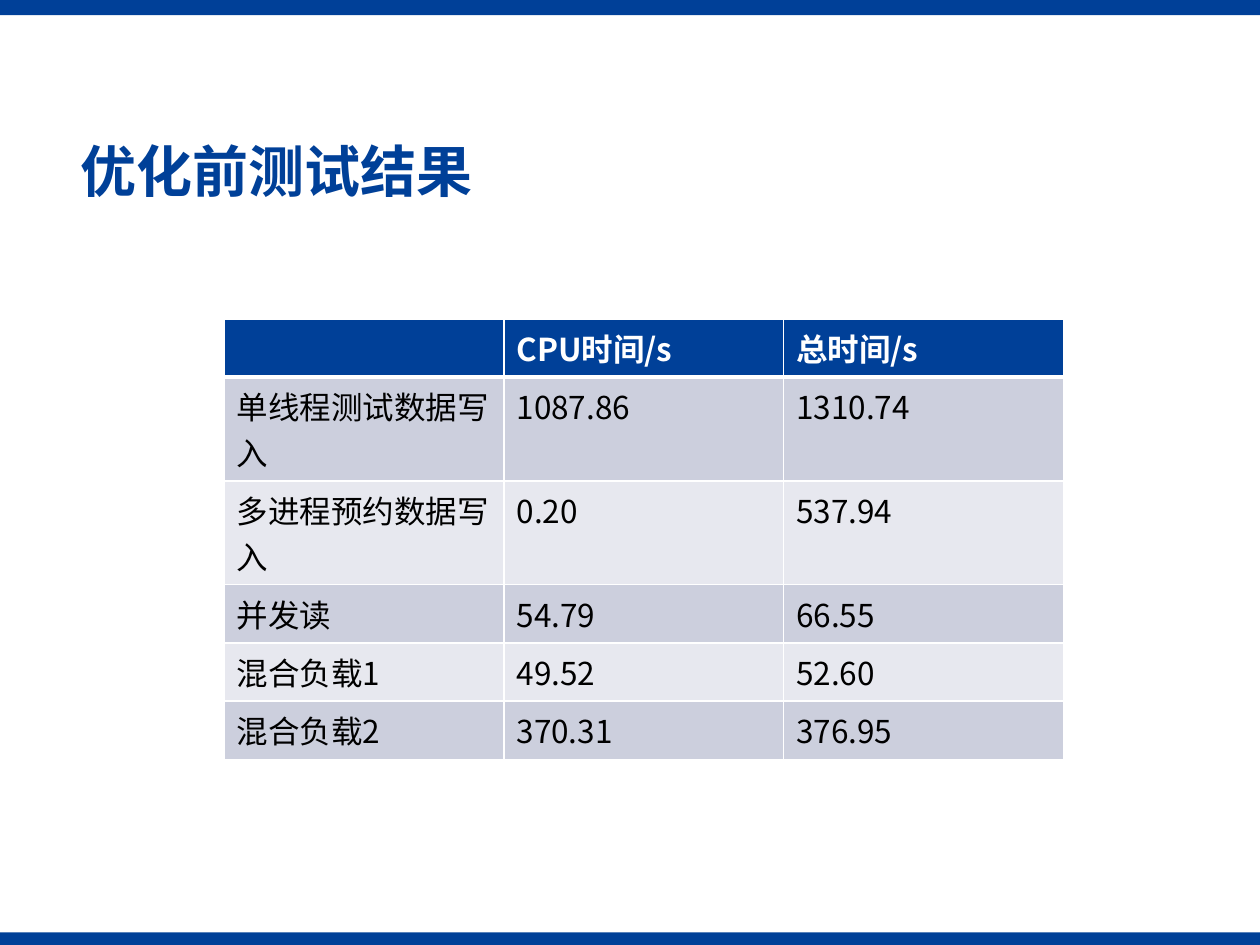
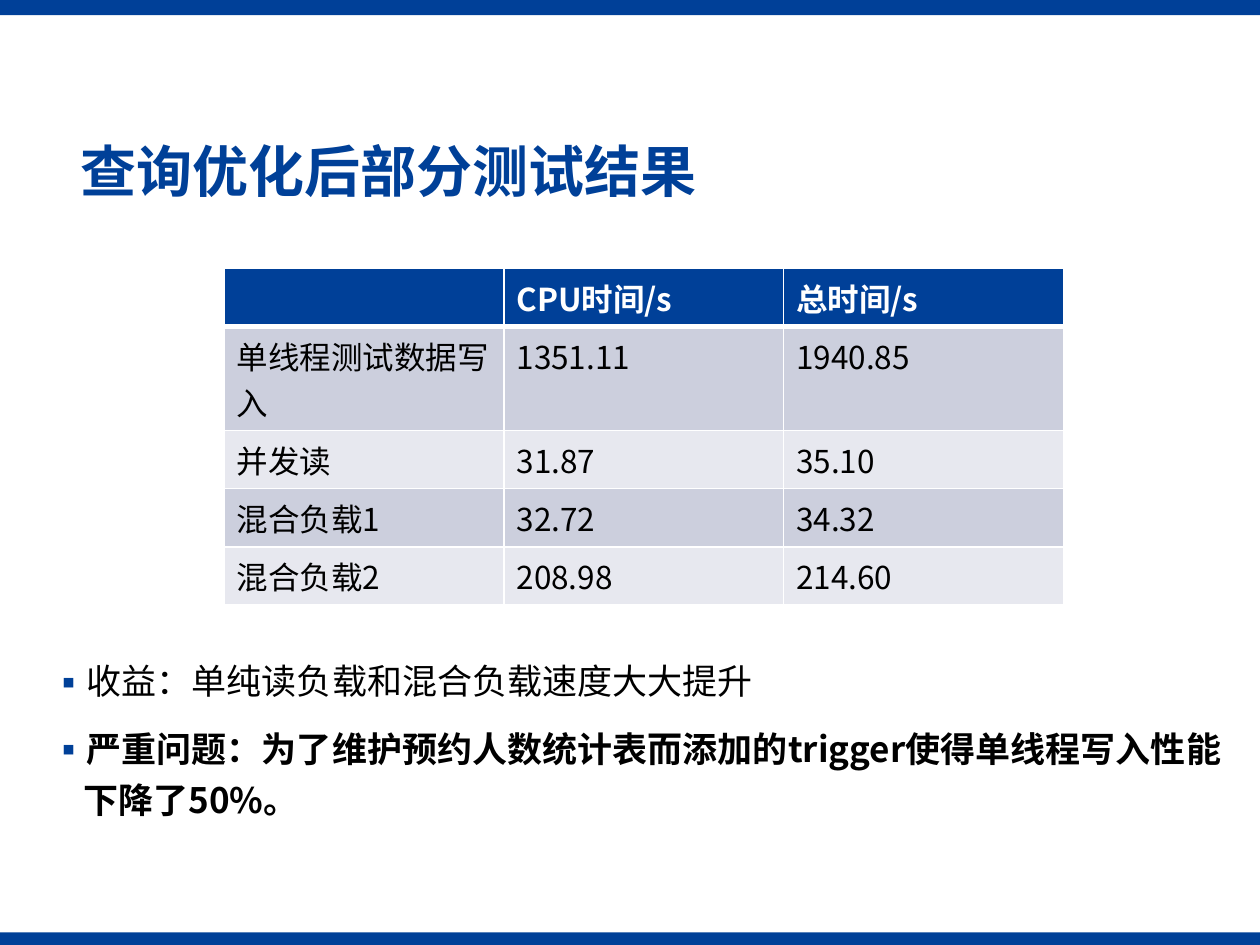
from dataclasses import dataclass

from lxml.etree import SubElement
from pptx import Presentation
from pptx.dml.color import RGBColor as Color
from pptx.enum.shapes import MSO_SHAPE as Preset
from pptx.enum.text import MSO_ANCHOR as Anchor, MSO_AUTO_SIZE as AutoSize, PP_ALIGN as Align
from pptx.oxml import parse_xml
from pptx.oxml.ns import nsdecls, qn
from pptx.util import Inches, Pt


@dataclass(frozen=True)
class Theme:
    font: str = "Noto Sans CJK SC"
    blue: str = "004098"
    white: str = "FFFFFF"
    black: str = "000000"
    row_fills: tuple = ("CCCFDD", "E7E8EF")
    title_size: int = 32
    table_size: int = 18
    body_size: int = 20


theme = Theme()


def add_run(paragraph, text, size, color, bold=False):
    run = paragraph.add_run()
    run.text = text
    run.font.name = theme.font
    run.font.size = Pt(size)
    run.font.bold = bold
    run.font.color.rgb = Color.from_string(color)
    SubElement(run.font._element, qn("a:ea")).set("typeface", theme.font)


def set_borders(cell, top, bottom):
    """Draw white borders; widths are in points."""
    properties = cell._tc.get_or_add_tcPr()
    widths = {"lnL": 1, "lnR": 1, "lnT": top, "lnB": bottom}
    for position, (side, width) in enumerate(widths.items()):
        properties.insert(position, parse_xml(
            f'<a:{side} {nsdecls("a")} w="{Pt(width)}"><a:solidFill>'
            f'<a:srgbClr val="{theme.white}"/></a:solidFill></a:{side}>'))


# Content: title, table top, result rows, conclusions as (text, bold)
header = ("", "CPU时间/s", "总时间/s")
pages = [
    ("优化前测试结果", 2.53, [
        ("单线程测试数据写入", "1087.86", "1310.74"),
        ("多进程预约数据写入", "0.20", "537.94"),
        ("并发读", "54.79", "66.55"),
        ("混合负载1", "49.52", "52.60"),
        ("混合负载2", "370.31", "376.95"),
    ], []),
    ("查询优化后部分测试结果", 2.13, [
        ("单线程测试数据写入", "1351.11", "1940.85"),
        ("并发读", "31.87", "35.10"),
        ("混合负载1", "32.72", "34.32"),
        ("混合负载2", "208.98", "214.60"),
    ], [
        ("收益：单纯读负载和混合负载速度大大提升", False),
        ("严重问题：为了维护预约人数统计表而添加的trigger使得单线程写入性能下降了50%。", True),
    ]),
]
bands = [(7.4, 0.1), (0, 0.12)]
column_width, row_height = 2.22, 0.41

presentation = Presentation()
presentation.slide_width, presentation.slide_height = Inches(10), Inches(7.5)
title_only, title_and_body = presentation.slide_layouts[5], presentation.slide_layouts[1]

for title_text, table_top, results, conclusions in pages:
    slide = presentation.slides.add_slide(title_and_body if conclusions else title_only)

    # Bands at the bottom and top edges
    for top, height in bands:
        band = slide.shapes.add_shape(
            Preset.RECTANGLE, 0, Inches(top), presentation.slide_width, Inches(height))
        band.shadow.inherit = False
        band.fill.solid()
        band.fill.fore_color.rgb = Color.from_string(theme.blue)
        band.line.fill.background()

    # Title
    title = slide.shapes.title
    title.left, title.top = Inches(0.54), Inches(1.07)
    title.width, title.height = Inches(9.16), Inches(0.63)
    title.text_frame.auto_size = AutoSize.NONE
    title.text_frame.vertical_anchor = Anchor.MIDDLE
    paragraph = title.text_frame.paragraphs[0]
    paragraph.alignment = Align.LEFT
    paragraph.line_spacing = 0.9
    add_run(paragraph, title_text, theme.title_size, theme.blue, bold=True)

    # Results table
    rows = [header, *results]
    table = slide.shapes.add_table(
        len(rows), len(header), Inches(1.78), Inches(table_top),
        Inches(column_width * len(header)), Inches(row_height * len(rows))).table
    for column in table.columns:
        column.width = Inches(column_width)
    for row_index, values in enumerate(rows):
        is_header = row_index == 0
        fill = theme.blue if is_header else theme.row_fills[(row_index - 1) % 2]
        for column_index, value in enumerate(values):
            cell = table.cell(row_index, column_index)
            cell.fill.solid()
            cell.fill.fore_color.rgb = Color.from_string(fill)
            set_borders(cell, top=3 if row_index == 1 else 1, bottom=3 if is_header else 1)
            if value:
                add_run(cell.text_frame.paragraphs[0], value, theme.table_size,
                        theme.white if is_header else theme.black, bold=is_header)

    # Conclusions
    if conclusions:
        body = slide.placeholders[1]
        body.left, body.top = Inches(0.31), Inches(5.12)
        body.width, body.height = Inches(9.62), Inches(2.38)
        frame = body.text_frame
        frame.auto_size = AutoSize.NONE
        frame.vertical_anchor = Anchor.TOP
        for index, (text, bold) in enumerate(conclusions):
            paragraph = frame.add_paragraph() if index else frame.paragraphs[0]
            paragraph.line_spacing = 1.2
            paragraph.space_before = Pt(10)
            properties = paragraph._p.get_or_add_pPr()
            properties.set("marL", str(Inches(0.25)))
            properties.set("indent", str(-Inches(0.25)))
            bullet_color = SubElement(properties, qn("a:buClr"))
            SubElement(bullet_color, qn("a:srgbClr")).set("val", theme.blue)
            SubElement(properties, qn("a:buFont")).set("typeface", theme.font)
            SubElement(properties, qn("a:buChar")).set("char", "▪")
            add_run(paragraph, text, theme.body_size, theme.black, bold)

presentation.save("out.pptx")
